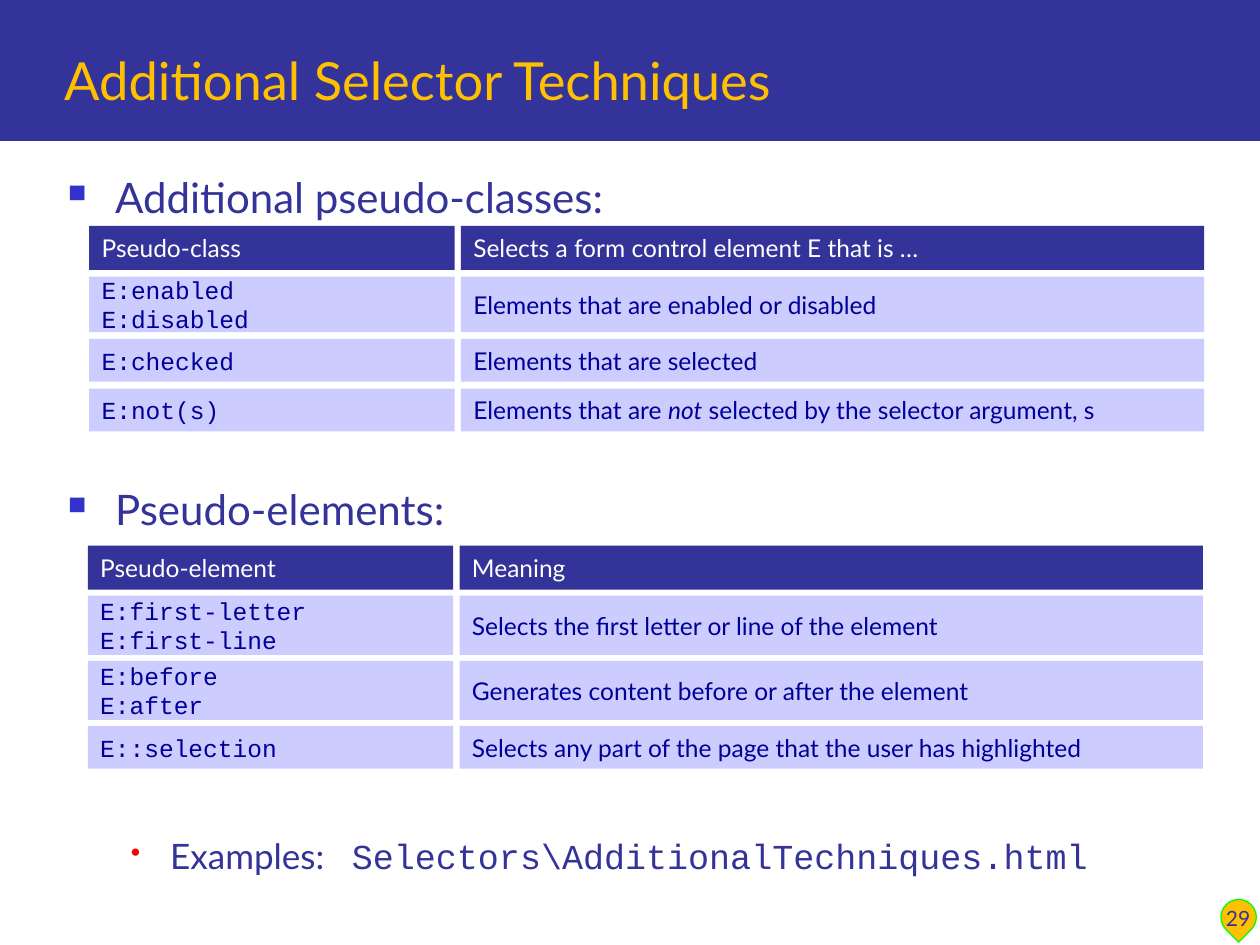
from pptx import Presentation
from pptx.dml.color import RGBColor
from pptx.enum.shapes import MSO_SHAPE as Shape
from pptx.enum.text import MSO_ANCHOR as Anchor, PP_ALIGN as Align
from pptx.oxml.xmlchemy import OxmlElement as Elem
from pptx.util import Pt

HEX = {"navy": "333399", "gold": "FFC000", "lime": "00FF00", "pale": "CCCCFF",
       "ink": "000099", "white": "FFFFFF", "blue": "3333CC", "red": "FF0000"}
SANS, MONO = "Lato", "Courier New"
COLS = [(0, 208.8), (212.4, 424.8)]  # offset and width


def rgb(name):
    return RGBColor.from_string(HEX[name])


def write(para, text, size=14, color="ink", font=SANS, italic=False):
    run = para.add_run()
    run.text = text
    run.font.size = Pt(size)
    run.font.name = font
    run.font.italic = italic
    run.font.color.rgb = rgb(color)


def setup(frame, anchor, side=7.2, edge=3.6):
    frame.word_wrap = True
    frame.vertical_anchor = anchor
    frame.margin_left = frame.margin_right = Pt(side)
    frame.margin_top = frame.margin_bottom = Pt(edge)


def block(slide, kind, box, fill, line=None):
    shape = slide.shapes.add_shape(kind, *map(Pt, box))
    shape.shadow.inherit = False
    shape.fill.solid()
    shape.fill.fore_color.rgb = rgb(fill)
    if line:
        shape.line.color.rgb = rgb(line)
        shape.line.width = Pt(0.75)
    else:
        shape.line.fill.background()
    return shape


def bullet(para, char, color, scale, left, hang):
    props = para._p.get_or_add_pPr()
    props.set("marL", str(Pt(left)))
    props.set("indent", str(-Pt(hang)))
    tint = Elem("a:buClr")
    rgb_el = Elem("a:srgbClr")
    rgb_el.set("val", HEX[color])
    tint.append(rgb_el)
    size = Elem("a:buSzPct")
    size.set("val", str(scale * 1000))
    mark = Elem("a:buChar")
    mark.set("char", char)
    props.extend([tint, size, mark])


def tab(para, pos):
    tabs = Elem("a:tabLst")
    stop = Elem("a:tab")
    stop.set("pos", str(Pt(pos)))
    stop.set("algn", "l")
    tabs.append(stop)
    para._p.get_or_add_pPr().append(tabs)


def cell(slide, box, lines, head, font):
    shape = block(slide, Shape.RECTANGLE, box, "navy" if head else "pale")
    frame = shape.text_frame
    setup(frame, Anchor.MIDDLE, edge=0)
    for i, line in enumerate(lines.split("\n")):
        para = frame.paragraphs[0] if i == 0 else frame.add_paragraph()
        para.alignment = Align.LEFT
        # Asterisks enclose italic words
        for j, part in enumerate(line.split("*")):
            write(para, part, color="white" if head else "ink",
                  font=font, italic=j % 2 == 1)


def grid(slide, left, top, gap, rows):
    for i, (high, name, note) in enumerate(rows):
        fonts = (SANS, SANS) if i == 0 else (MONO, SANS)
        for (dx, wide), text, font in zip(COLS, (name, note), fonts):
            cell(slide, (left + dx, top, wide, high), text, i == 0, font)
        top += high + gap


def body(slide):
    box = slide.shapes.add_textbox(Pt(31.7), Pt(94.5), Pt(668), Pt(389))
    frame = box.text_frame
    setup(frame, Anchor.TOP)
    for i, (text, gap) in enumerate([("Additional pseudo-classes:", 0),
                                     ("Pseudo-elements:", 149.6)]):
        para = frame.paragraphs[0] if i == 0 else frame.add_paragraph()
        bullet(para, "■", "blue", 60, 27, 27)
        para.space_before = Pt(gap)
        write(para, text, 24, "navy")
    para = frame.add_paragraph()
    bullet(para, "•", "red", 80, 58.5, 22.5)
    tab(para, 162.3)
    para.space_before = Pt(171.6)
    write(para, "Examples:\t", 20, "navy")
    write(para, "Selectors\\AdditionalTechniques.html", 20, "navy", MONO)


def main():
    deck = Presentation()
    deck.slide_width, deck.slide_height = Pt(720), Pt(540)
    slide = deck.slides.add_slide(deck.slide_layouts[5])

    # Title band
    band = block(slide, Shape.RECTANGLE, (0, 0, 720, 80.6), "navy")
    title = slide.shapes.title
    band._element.addnext(title._element)
    title.left, title.top = Pt(29.5), Pt(12.2)
    title.width, title.height = Pt(673), Pt(54.7)
    setup(title.text_frame, Anchor.BOTTOM)
    para = title.text_frame.paragraphs[0]
    para.alignment = Align.LEFT
    write(para, "Additional Selector Techniques", 30, "gold")

    # Bullets and their tables
    body(slide)
    grid(slide, 51, 129, 3.9, [
        (25.2, "Pseudo-class", "Selects a form control element E that is …"),
        (31.7, "E:enabled\nE:disabled", "Elements that are enabled or disabled"),
        (24.5, "E:checked", "Elements that are selected"),
        (24.5, "E:not(s)",
         "Elements that are *not* selected by the selector argument, s")])
    grid(slide, 50.2, 311.8, 3.4, [
        (25.2, "Pseudo-element", "Meaning"),
        (33.8, "E:first-letter\nE:first-line",
         "Selects the first letter or line of the element"),
        (33.8, "E:before\nE:after",
         "Generates content before or after the element"),
        (24.5, "E::selection",
         "Selects any part of the page that the user has highlighted")])

    # Page number
    drop = block(slide, Shape.TEAR, (697.7, 514, 20.2, 20.2), "gold", "lime")
    drop.rotation = 134.9
    box = slide.shapes.add_textbox(Pt(687), Pt(499.7), Pt(41), Pt(36))
    setup(box.text_frame, Anchor.BOTTOM)
    para = box.text_frame.paragraphs[0]
    para.alignment = Align.CENTER
    write(para, "29", 12, "navy")

    deck.save("out.pptx")


if __name__ == "__main__":
    main()
